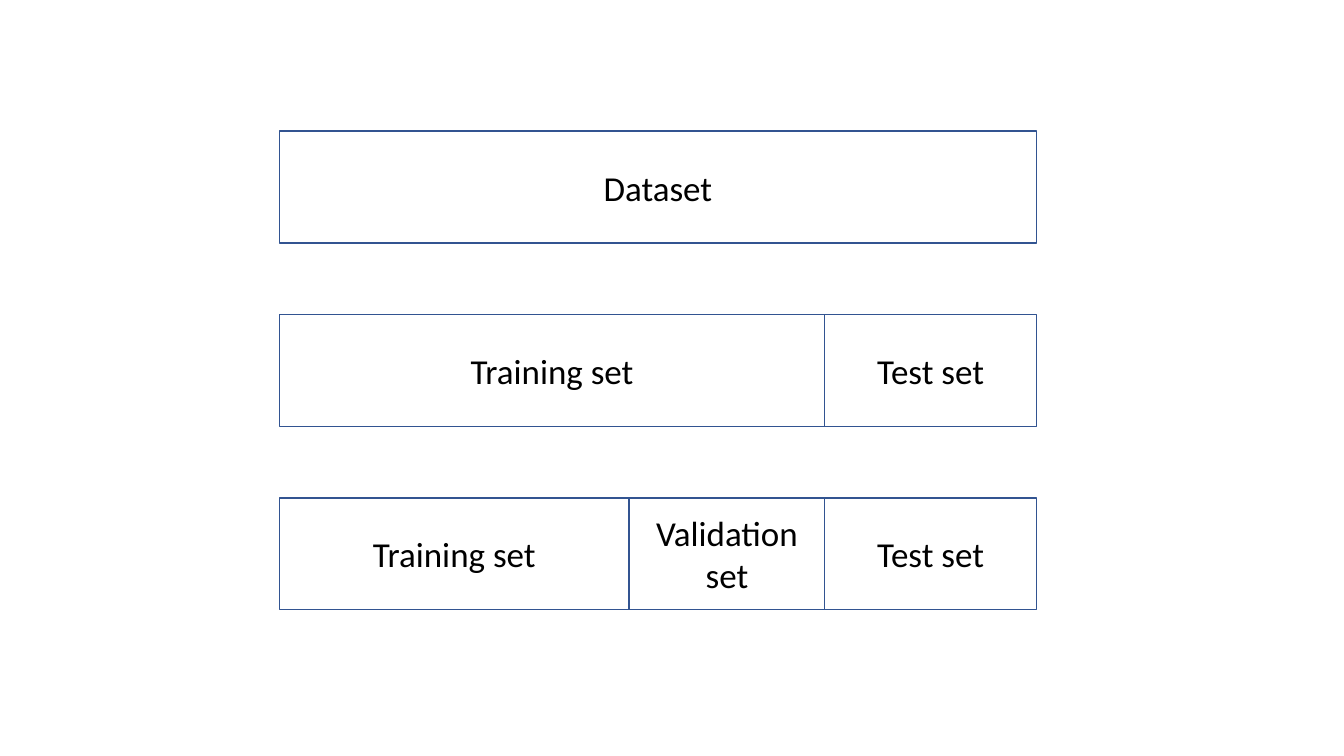
from pptx import Presentation
from pptx.dml.color import RGBColor
from pptx.enum import shapes, text
from pptx.util import Inches, Pt

BLUE = RGBColor(0x32, 0x54, 0x91)
BLACK = RGBColor(0x00, 0x00, 0x00)

LEFT, TOP = 2.77, 1.3
BAR_HEIGHT, ROW_STEP = 1.11, 1.82

# Each row is one way of splitting the data: (label, width in inches)
SPLITS = [
    [("Dataset", 7.51)],
    [("Training set", 5.41), ("Test set", 2.1)],
    [("Training set", 3.47), ("Validation set", 1.94), ("Test set", 2.1)],
]

presentation = Presentation()
presentation.slide_width = Inches(13.33)
presentation.slide_height = Inches(7.5)
blank_layout = presentation.slide_layouts[6]
slide = presentation.slides.add_slide(blank_layout)

for row, parts in enumerate(SPLITS):
    left = LEFT
    top = TOP + row * ROW_STEP
    for label, width in parts:
        bar = slide.shapes.add_shape(
            shapes.MSO_SHAPE.RECTANGLE,
            Inches(left), Inches(top), Inches(width), Inches(BAR_HEIGHT),
        )
        bar.shadow.inherit = False
        bar.fill.background()
        bar.line.color.rgb = BLUE
        bar.line.width = Pt(1)

        frame = bar.text_frame
        frame.word_wrap = True
        frame.vertical_anchor = text.MSO_ANCHOR.MIDDLE
        frame.text = label
        paragraph = frame.paragraphs[0]
        paragraph.alignment = text.PP_ALIGN.CENTER
        font = paragraph.runs[0].font
        font.name = "Calibri"
        font.size = Pt(25)
        font.color.rgb = BLACK
        left += width

presentation.save("out.pptx")
